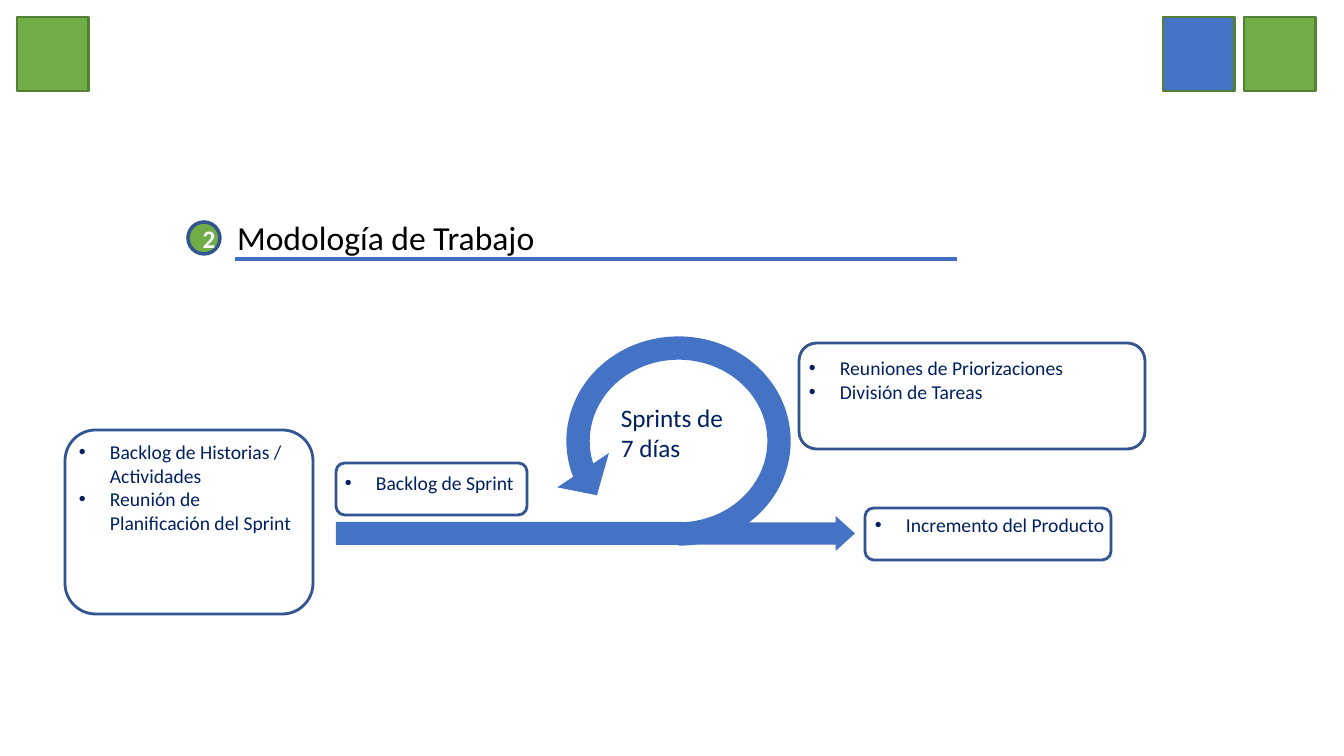
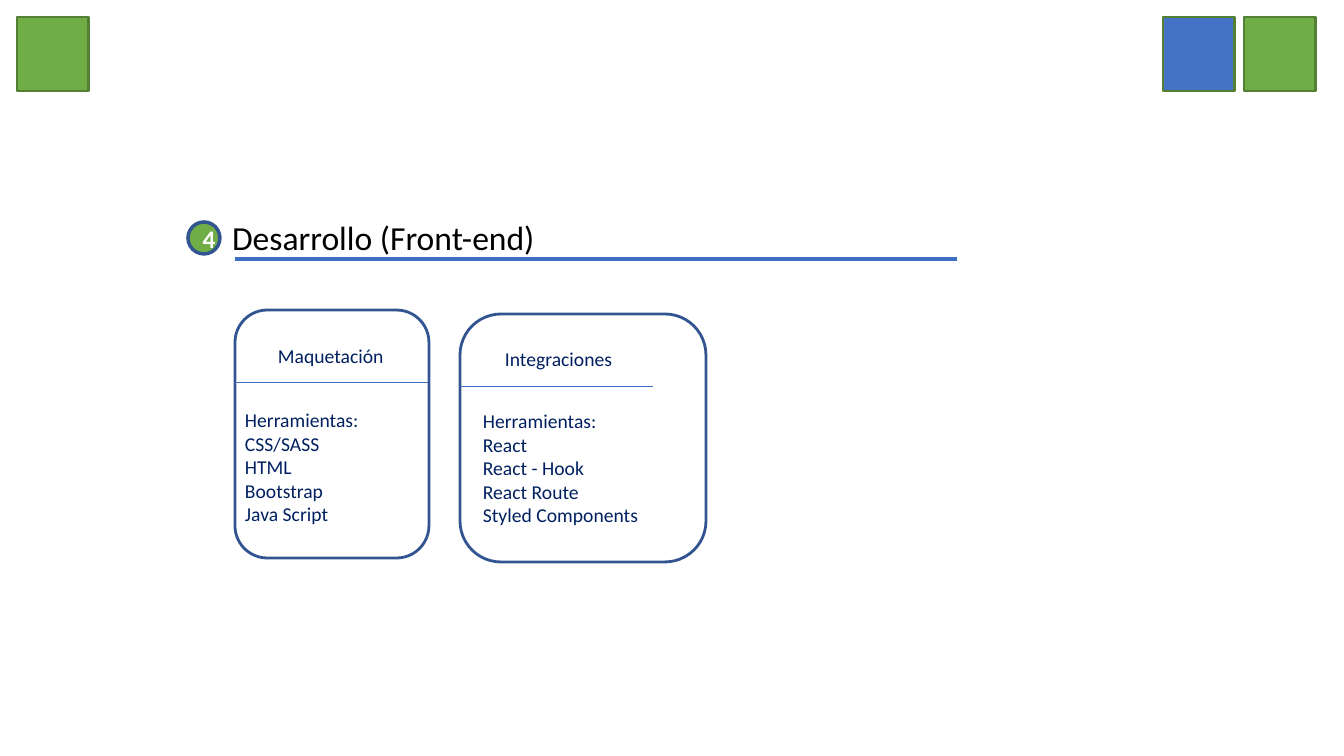
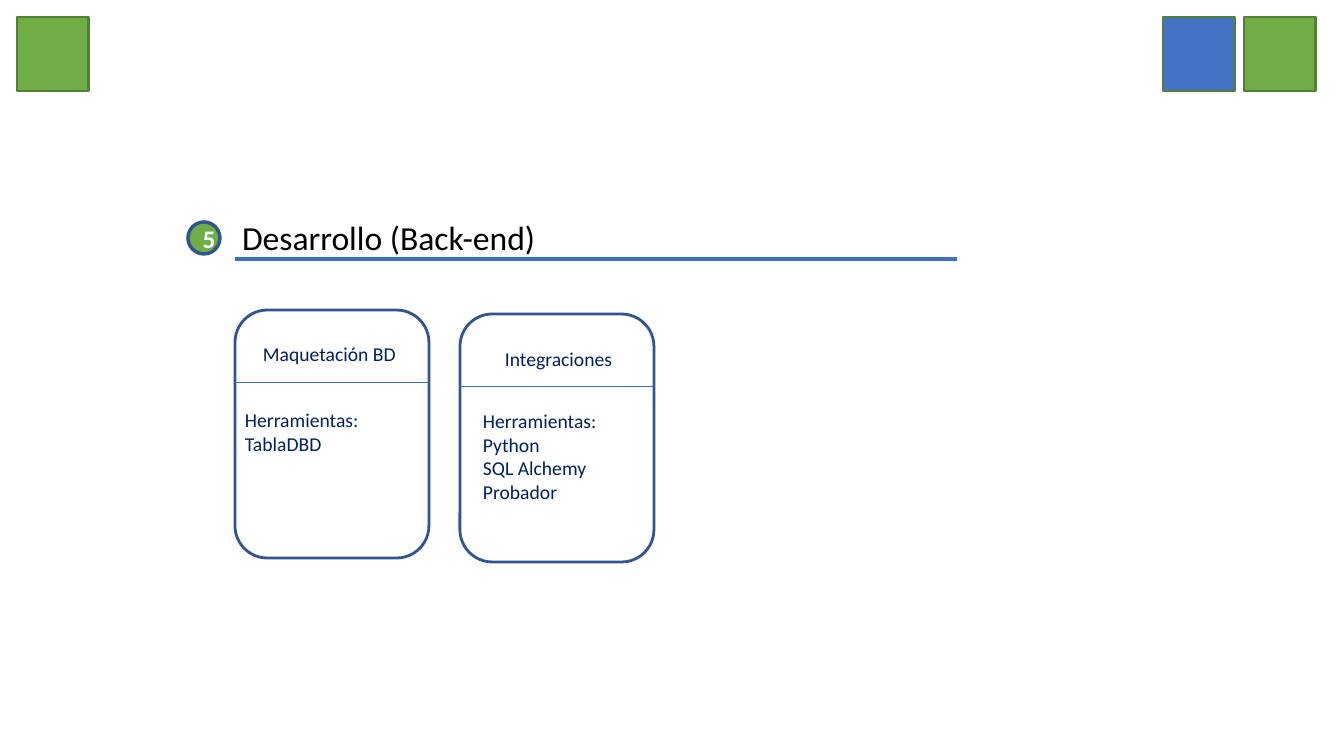
import lxml.etree
import pptx
import pptx.dml.color
import pptx.enum.shapes
import pptx.enum.text
import pptx.oxml.ns
import pptx.util

SCALE = 914400 / 100.8
FONT = "Calibri"
GREEN, DARK_GREEN = "70AD47", "538035"
BLUE, DARK_BLUE, RULE_BLUE = "4472C4", "325491", "3F6FC3"
NAVY, WHITE, BLACK = "002060", "FFFFFF", "000000"

color = pptx.dml.color.RGBColor.from_string
qn = pptx.oxml.ns.qn
SHAPE = pptx.enum.shapes.MSO_SHAPE
ALIGN = pptx.enum.text.PP_ALIGN


def add_shape(shapes, kind, box, fill=None, line=None, width=2):
    shape = shapes.add_shape(kind, *[round(value * SCALE) for value in box])
    shape.shadow.inherit = False
    if fill:
        shape.fill.solid()
        shape.fill.fore_color.rgb = color(fill)
    else:
        shape.fill.background()
    if line:
        shape.line.color.rgb = color(line)
        shape.line.width = pptx.util.Pt(width)
    else:
        shape.line.fill.background()
    return shape


def add_text(shapes, box, lines, size=14, bulleted=False):
    text_box = shapes.add_textbox(*[round(value * SCALE) for value in box])
    text_frame = text_box.text_frame
    text_frame.word_wrap = True
    text_frame.auto_size = pptx.enum.text.MSO_AUTO_SIZE.SHAPE_TO_FIT_TEXT
    text_frame.text = "\n".join(lines)
    for paragraph in text_frame.paragraphs:
        if bulleted:
            properties = paragraph._p.get_or_add_pPr()
            properties.set("marL", str(round(31 * SCALE)))
            properties.set("indent", str(round(-31 * SCALE)))
            bullet_color = lxml.etree.SubElement(properties, qn("a:buClr"))
            lxml.etree.SubElement(bullet_color, qn("a:srgbClr")).set("val", NAVY)
            lxml.etree.SubElement(properties, qn("a:buFont")).set("typeface", "Arial")
            lxml.etree.SubElement(properties, qn("a:buChar")).set("char", "•")
        for run in paragraph.runs:
            run.font.name = FONT
            run.font.size = pptx.util.Pt(size)
            run.font.color.rgb = color(NAVY)


presentation = pptx.Presentation()
presentation.slide_width = round(1344 * SCALE)
presentation.slide_height = round(756 * SCALE)

corner_squares = [(17, GREEN), (1244, GREEN), (1163, BLUE)]

steps = [
    ((336, 463, 191, 52), (335, 466, 193, 56), ["Backlog de Sprint"]),
    ((799, 343, 346, 106), (799, 351, 335, 56),
     ["Reuniones de Priorizaciones", "División de Tareas"]),
    ((865, 508, 246, 52), (865, 508, 263, 56), ["Incremento del Producto"]),
    ((65, 430, 248, 184), (69, 435, 239, 151),
     ["Backlog de Historias / Actividades", "Reunión de Planificación del Sprint"]),
]

front_end_panels = [
    ((235, 310, 194, 248), (268, 339), (235, 403), "Maquetación",
     ["CSS/SASS", "HTML", "Bootstrap", "Java Script"]),
    ((460, 314, 246, 248), (495, 342), (473, 404), "Integraciones",
     ["React", "React - Hook", "React Route", "Styled Components"]),
]

back_end_panels = [
    ((235, 310, 194, 248), (253, 337), (235, 403), "Maquetación BD", ["TablaDBD"]),
    ((460, 314, 194, 248), (495, 342), (473, 404), "Integraciones",
     ["Python", "SQL Alchemy", "Probador"]),
]

sections = [
    ("2", "Modología de Trabajo", 227, steps, []),
    ("4", "Desarrollo (Front-end)", 222, [], front_end_panels),
    ("5", "Desarrollo (Back-end)", 232, [], back_end_panels),
]

for number, heading, title_left, slide_steps, panels in sections:
    slide = presentation.slides.add_slide(presentation.slide_layouts[5])
    shapes = slide.shapes

    title = shapes.title
    title.left, title.top, title.width, title.height = [
        round(value * SCALE) for value in (title_left, 212, 385, 50)]
    title.text_frame.text = heading
    title.text_frame.word_wrap = True
    title.text_frame.auto_size = pptx.enum.text.MSO_AUTO_SIZE.NONE
    title.text_frame.vertical_anchor = pptx.enum.text.MSO_ANCHOR.TOP
    paragraph = title.text_frame.paragraphs[0]
    paragraph.alignment = ALIGN.LEFT
    font = paragraph.runs[0].font
    font.name, font.size = FONT, pptx.util.Pt(24)
    font.color.rgb = color(BLACK)

    for left, fill in corner_squares:
        add_shape(shapes, SHAPE.RECTANGLE, (left, 17, 72, 74), fill, DARK_GREEN)

    badge = add_shape(shapes, SHAPE.OVAL, (188, 222, 32, 32), GREEN, DARK_BLUE, 2.5)
    badge.text_frame.text = number
    paragraph = badge.text_frame.paragraphs[0]
    paragraph.alignment = ALIGN.CENTER
    font = paragraph.runs[0].font
    font.name, font.size, font.bold = FONT, pptx.util.Pt(18), True
    font.color.rgb = color(WHITE)

    rules = [(shapes, 235, 957, 259, 3)]

    if slide_steps:
        sprint_loop = add_shape(shapes, SHAPE.CIRCULAR_ARROW, (547, 317, 263, 248), BLUE)
        for index, value in enumerate((0.094, 9.966, 10.193, 54.035, 0.125)):
            sprint_loop.adjustments[index] = value
        sprint_loop.rotation = 180
        sprint_loop.element.spPr.find(qn("a:xfrm")).set("flipV", "1")
        add_shape(shapes, SHAPE.RECTANGLE, (336, 522, 347, 23), BLUE)
        output_arrow = add_shape(shapes, SHAPE.RIGHT_ARROW, (658, 516, 197, 35), BLUE)
        output_arrow.adjustments[0] = 0.634
        output_arrow.adjustments[1] = 0.553
        add_text(shapes, (611, 397, 146, 101), ["Sprints de", "7 días"], 18)

    for card_box, text_box, lines in slide_steps:
        add_shape(shapes, SHAPE.ROUNDED_RECTANGLE, card_box, None, DARK_BLUE)
        add_text(shapes, text_box, lines, bulleted=True)

    for card_box, heading_at, tools_at, panel_heading, tools in panels:
        group = shapes.add_group_shape()
        left, top = card_box[:2]
        add_shape(group.shapes, SHAPE.ROUNDED_RECTANGLE, card_box, None, DARK_BLUE)
        add_text(group.shapes, (*heading_at, 238, 33), [panel_heading])
        rules.append((group.shapes, left, left + 193, top + 73, 0.75))
        lines = ["Herramientas:", *tools]
        add_text(shapes, (*tools_at, 238, 10 + 24 * len(lines)), lines)

    for container, start, end, top, width in rules:
        rule = container.add_connector(
            pptx.enum.shapes.MSO_CONNECTOR.STRAIGHT,
            *[round(value * SCALE) for value in (start, top, end, top)])
        rule.line.color.rgb = color(RULE_BLUE)
        rule.line.width = pptx.util.Pt(width)
        lxml.etree.SubElement(rule.element.spPr, qn("a:effectLst"))

presentation.save("out.pptx")
